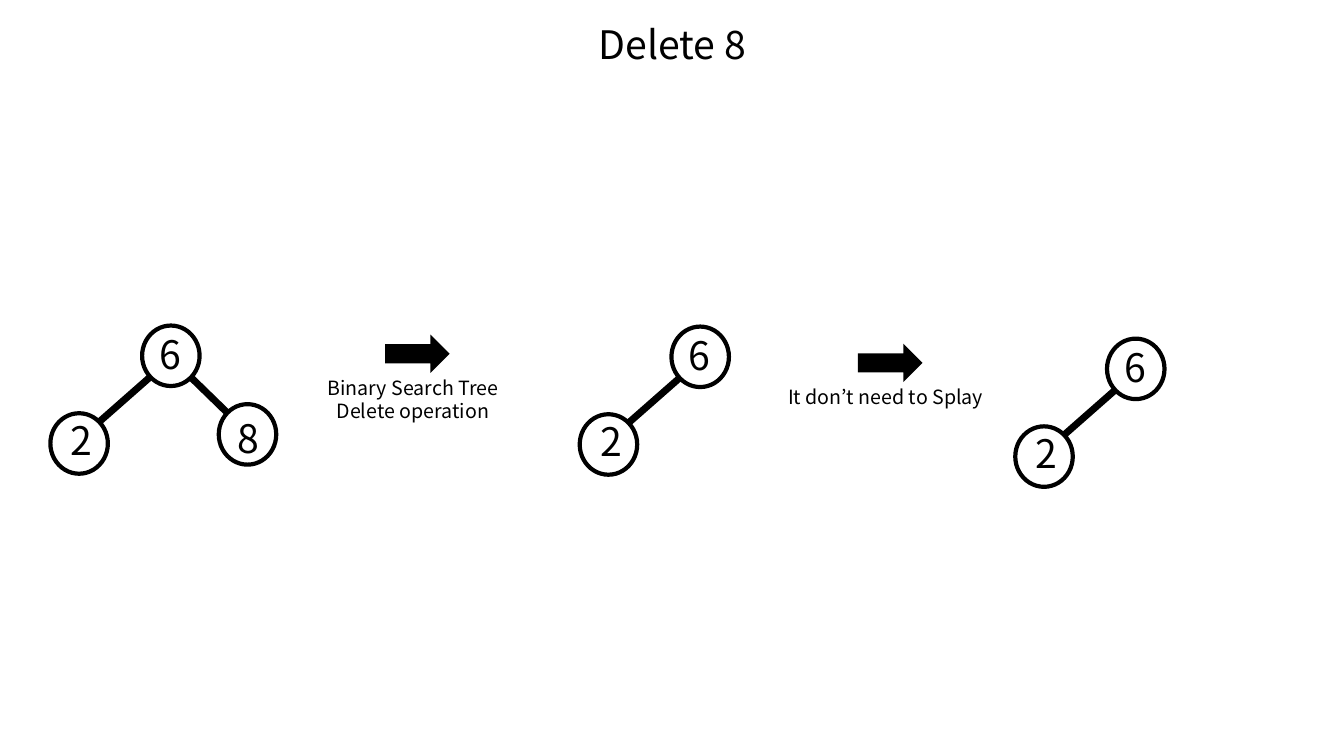
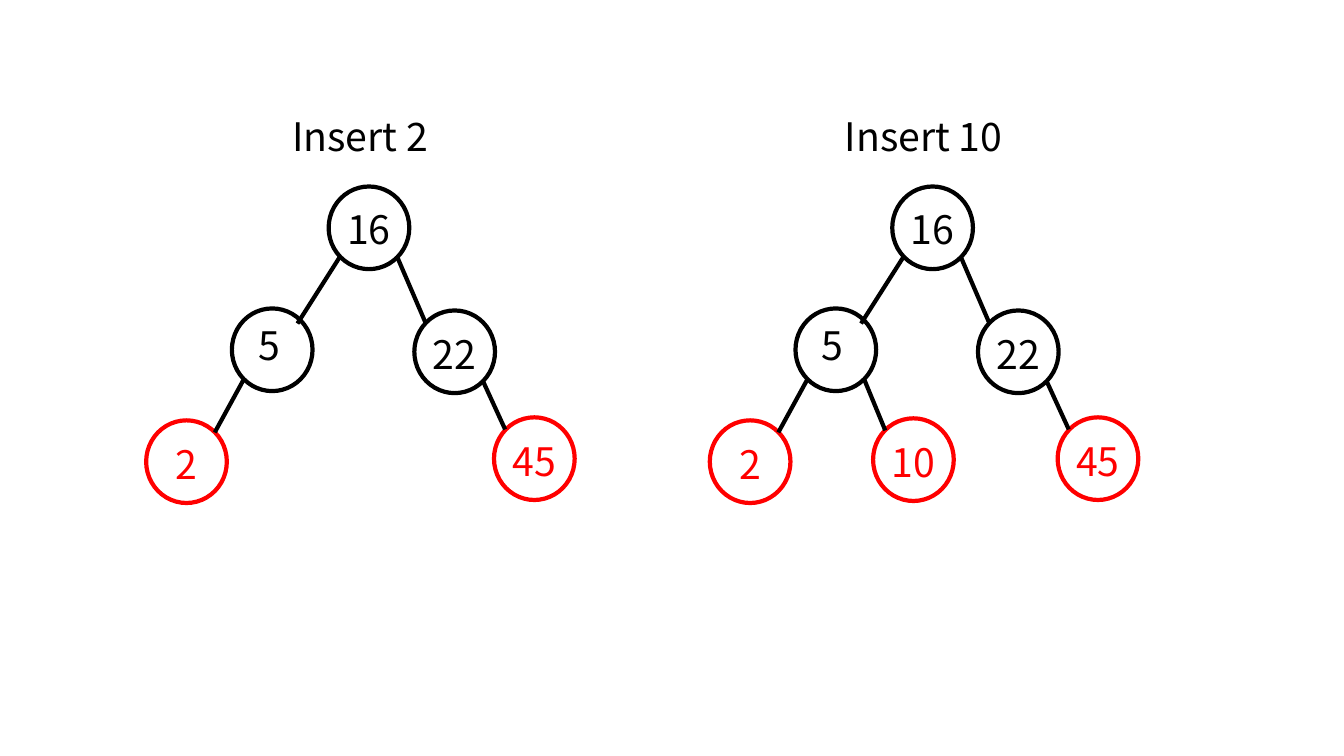
"""Build two slides of binary search tree operations."""
from lxml import etree
from pptx import Presentation
from pptx.dml.color import RGBColor
from pptx.enum.shapes import MSO_CONNECTOR, MSO_SHAPE
from pptx.enum.text import MSO_ANCHOR, MSO_AUTO_SIZE, PP_ALIGN
from pptx.oxml.ns import qn
from pptx.util import Pt

PX = 9144
FONT = "Noto Sans CJK KR"
BLACK, RED = "000000", "FF0000"
LABEL_HEIGHT = 57
HEADING_WIDTH = 278
ELLIPSE, RIGHT_ARROW = MSO_SHAPE.OVAL, MSO_SHAPE.RIGHT_ARROW
STRAIGHT = MSO_CONNECTOR.STRAIGHT
TOP, CENTER = MSO_ANCHOR.TOP, PP_ALIGN.CENTER
GROW = MSO_AUTO_SIZE.SHAPE_TO_FIT_TEXT


def set_label(shape, left, top, width, text, size=28, color=BLACK):
    """Place a shape and give it centred text."""
    shape.left, shape.top = left * PX, top * PX
    shape.width, shape.height = width * PX, LABEL_HEIGHT * PX
    frame = shape.text_frame
    frame.text = text
    frame.word_wrap = True
    frame.auto_size = GROW
    frame.vertical_anchor = TOP
    for paragraph in frame.paragraphs:
        paragraph.alignment = CENTER
        for run in paragraph.runs:
            run.font.name = FONT
            run.font.size = Pt(size)
            run.font.color.rgb = RGBColor.from_string(color)


def add_tree(slide, origin, style, nodes, edges):
    """Draw the nodes and edges of one tree, measured from its origin."""
    left, top = origin
    width, height, label_width, edge_weight = style
    for text, x, y, label_x, label_y, color in nodes:
        circle = slide.shapes.add_shape(
            ELLIPSE, (left + x) * PX, (top + y) * PX, width * PX, height * PX)
        circle.shadow.inherit = False
        circle.fill.background()
        circle.line.color.rgb = RGBColor.from_string(color)
        circle.line.width = Pt(3)
        label = slide.shapes.add_textbox(0, 0, 0, 0)
        set_label(label, left + x + label_x, top + y + label_y, label_width, text, color=color)
    for x1, y1, x2, y2 in edges:
        edge = slide.shapes.add_connector(
            STRAIGHT, (left + x1) * PX, (top + y1) * PX, (left + x2) * PX, (top + y2) * PX)
        edge.line.color.rgb = RGBColor.from_string(BLACK)
        edge.line.width = Pt(edge_weight)
        etree.SubElement(edge._element.spPr, qn("a:effectLst"))


presentation = Presentation()
presentation.slide_width, presentation.slide_height = 1333 * PX, 750 * PX
title_only, blank = presentation.slide_layouts[5], presentation.slide_layouts[6]

delete_slide = presentation.slides.add_slide(title_only)
set_label(delete_slide.shapes.title, 528, 15, HEADING_WIDTH, "Delete 8")

steps = [
    (297, 332, "Binary Search Tree\nDelete operation"),
    (766, 341, "It don’t need to Splay"),
]
for left, top, caption in steps:
    arrow = delete_slide.shapes.add_shape(
        RIGHT_ARROW, (left + 85) * PX, top * PX, 64 * PX, 38 * PX)
    arrow.shadow.inherit = False
    arrow.fill.solid()
    arrow.fill.fore_color.rgb = RGBColor.from_string(BLACK)
    arrow.line.fill.background()
    set_label(delete_slide.shapes.add_textbox(0, 0, 0, 0), left, top + 36, 225, caption, size=14)

small_style = (57, 60, 64, 5)
kept_nodes = [("2", 0, 87, -1, -2, BLACK), ("6", 91, 0, -4, 0, BLACK)]
kept_edges = [(99, 51, 49, 95)]
deleted_node = ("8", 167, 78, -3, 5, BLACK)
deleted_edge = (139, 51, 176, 87)
add_tree(delete_slide, (50, 323), small_style,
         kept_nodes + [deleted_node], kept_edges + [deleted_edge])
for origin in [(575, 324), (1007, 336)]:
    add_tree(delete_slide, origin, small_style, kept_nodes, kept_edges)

insert_slide = presentation.slides.add_slide(blank)
for left, heading in [(218, "Insert 2"), (777, "Insert 10")]:
    set_label(insert_slide.shapes.add_textbox(0, 0, 0, 0), left, 107, HEADING_WIDTH, heading)

large_style = (80, 82, 90, 3)
base_nodes = [
    ("16", 181, 0, -5, 14, BLACK),
    ("5", 85, 121, -8, 8, BLACK),
    ("22", 266, 123, -5, 15, BLACK),
    ("45", 345, 229, -5, 15, RED),
    ("2", 0, 232, -5, 15, RED),
]
base_edges = [
    (150, 136, 192, 70),
    (249, 70, 277, 135),
    (334, 193, 356, 241),
    (97, 191, 68, 244),
]
inserted_node = ("10", 162, 230, -5, 15, RED)
inserted_edge = (153, 191, 174, 242)
add_tree(insert_slide, (145, 185), large_style, base_nodes, base_edges)
add_tree(insert_slide, (704, 185), large_style,
         base_nodes + [inserted_node], base_edges + [inserted_edge])

presentation.save("out.pptx")
